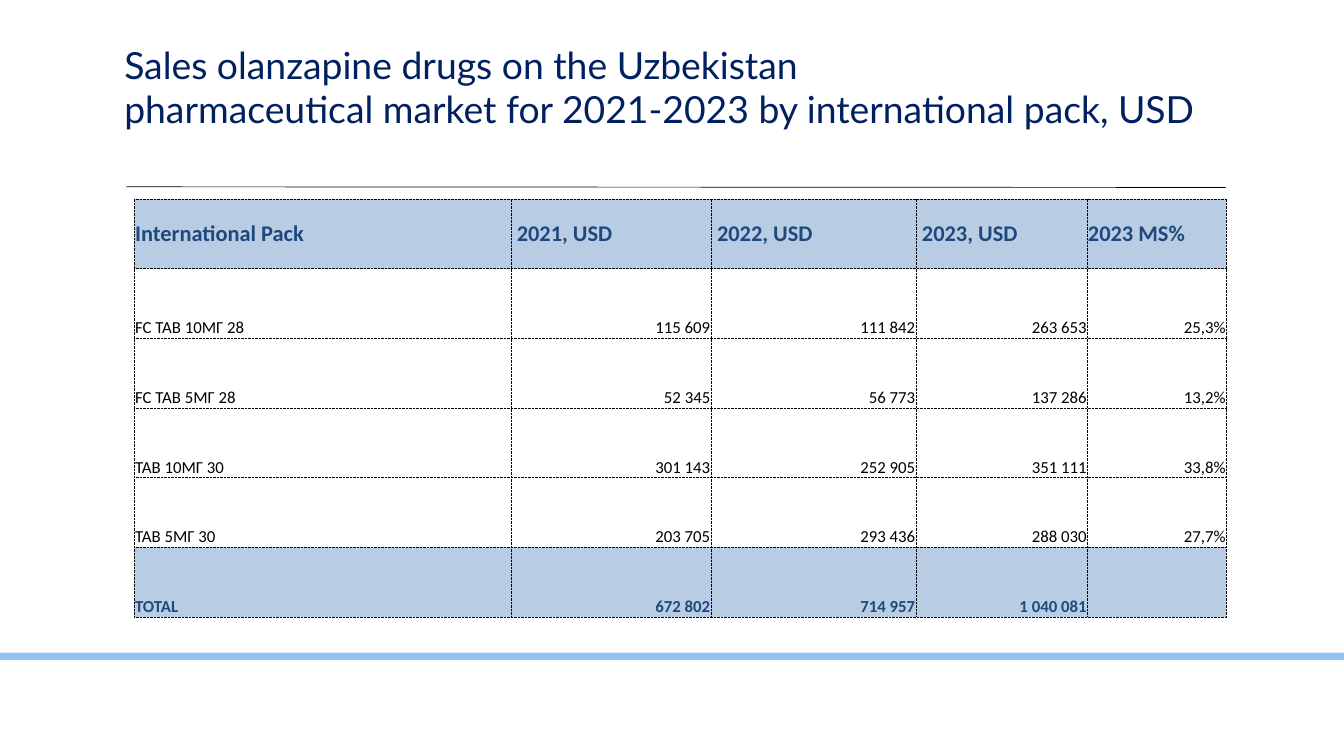
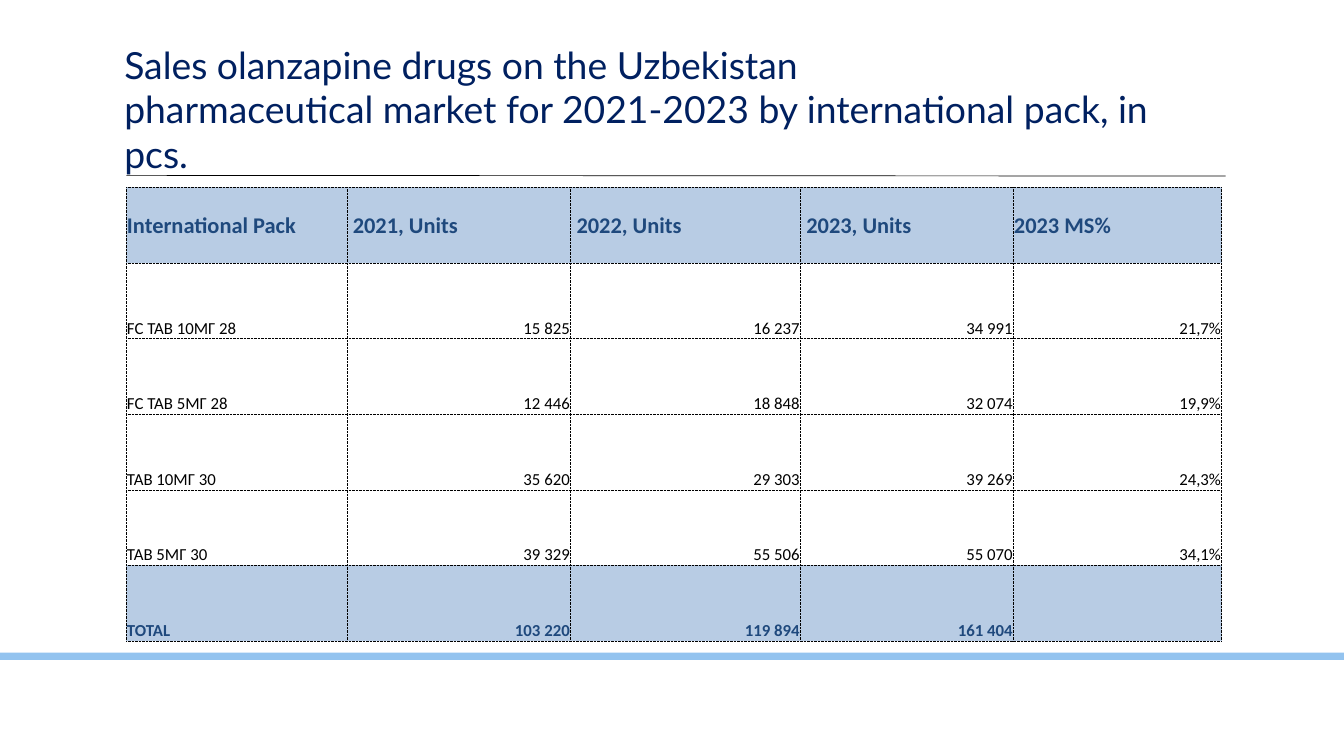
from lxml import etree
from pptx import Presentation
from pptx.dml.color import RGBColor
from pptx.enum.shapes import MSO_CONNECTOR, MSO_SHAPE
from pptx.enum.text import MSO_ANCHOR, MSO_AUTO_SIZE, PP_ALIGN
from pptx.oxml import parse_xml
from pptx.oxml.ns import nsdecls, qn
from pptx.util import Inches, Pt

LINE = MSO_CONNECTOR.STRAIGHT
RECT = MSO_SHAPE.RECTANGLE
MIDDLE, BOTTOM = MSO_ANCHOR.MIDDLE, MSO_ANCHOR.BOTTOM
LEFT, RIGHT = PP_ALIGN.LEFT, PP_ALIGN.RIGHT
GROW = MSO_AUTO_SIZE.SHAPE_TO_FIT_TEXT

NAVY = RGBColor(0x00, 0x20, 0x60)
BLUE = RGBColor(0x1F, 0x49, 0x7D)
PALE = RGBColor(0xB8, 0xCC, 0xE4)
SKY = RGBColor(0x93, 0xC3, 0xEF)
BLACK = RGBColor(0, 0, 0)
HEAD_FONT, BODY_FONT = "Lato", "Calibri"

TITLE = ("Sales olanzapine drugs on the Uzbekistan\v"
         "pharmaceutical market for 2021-2023 by international pack, ")
YEARS = ["2021", "2022", "2023"]

# What differs from slide to slide
PAGES = [
    {"ending": "USD", "unit": "USD", "rule": 2.78,
     "box": (2, 2.96, 16.24, 6.22), "cols": [5.6, 2.98, 3.05, 2.55, 2.07],
     "rows": [
         ["FC TAB 10МГ 28", "115 609", "111 842", "263 653", "25,3%"],
         ["FC TAB 5МГ 28", "52 345", "56 773", "137 286", "13,2%"],
         ["TAB 10МГ 30", "301 143", "252 905", "351 111", "33,8%"],
         ["TAB 5МГ 30", "203 705", "293 436", "288 030", "27,7%"],
         ["TOTAL", "672 802", "714 957", "1 040 081", ""]]},
    {"ending": "in pcs.", "unit": "Units", "rule": 2.61,
     "box": (1.88, 2.79, 16.3, 6.75), "cols": [3.28, 3.33, 3.42, 3.17, 3.1],
     "rows": [
         ["FC TAB 10МГ 28", "15 825", "16 237", "34 991", "21,7%"],
         ["FC TAB 5МГ 28", "12 446", "18 848", "32 074", "19,9%"],
         ["TAB 10МГ 30", "35 620", "29 303", "39 269", "24,3%"],
         ["TAB 5МГ 30", "39 329", "55 506", "55 070", "34,1%"],
         ["TOTAL", "103 220", "119 894", "161 404", ""]]},
]


def add_edges(cell):
    """Give a cell dotted black borders on all four sides."""
    props = cell._tc.get_or_add_tcPr()
    for side in ("lnL", "lnR", "lnT", "lnB"):
        props.append(parse_xml(
            f'<a:{side} {nsdecls("a")} w="{Pt(0.5)}"><a:solidFill>'
            f'<a:srgbClr val="{BLACK}"/></a:solidFill>'
            f'<a:prstDash val="sysDot"/></a:{side}>'))


def style_text(para, font, size, color, bold=False):
    para.font.name = font
    para.font.size = Pt(size)
    para.font.color.rgb = color
    para.font.bold = bold


prs = Presentation()
prs.slide_width, prs.slide_height = Inches(20), Inches(11.25)

for page in PAGES:
    slide = prs.slides.add_slide(prs.slide_layouts[6])
    shapes = slide.shapes

    # Rule under the title
    top = page["rule"]
    rule = shapes.add_connector(LINE, Inches(1.88), Inches(top),
                                Inches(18.24), Inches(top + 0.01))
    rule.line.color.rgb = BLACK
    rule.line.width = Pt(0.75)
    etree.SubElement(rule._element.spPr, qn("a:effectLst"))

    # Title
    title = shapes.add_textbox(Inches(1.85), Inches(0.62),
                               Inches(16.3), Inches(2.02))
    frame = title.text_frame
    frame.word_wrap = True
    frame.auto_size = GROW
    frame.margin_left = frame.margin_right = 0
    frame.margin_top = frame.margin_bottom = 0
    para = frame.paragraphs[0]
    para.text = TITLE + page["ending"]
    style_text(para, HEAD_FONT, 40, NAVY)

    # Footer band
    band = shapes.add_shape(RECT, 0, Inches(9.71), prs.slide_width, Inches(0.11))
    band.shadow.inherit = False
    band.fill.solid()
    band.fill.fore_color.rgb = SKY
    band.line.fill.background()

    # Sales table
    heads = [f"{year}, {page['unit']}" for year in YEARS]
    rows = [["International Pack", *heads, "2023 MS%"], *page["rows"]]
    last = len(rows) - 1
    box = [Inches(n) for n in page["box"]]
    table = shapes.add_table(len(rows), len(page["cols"]), *box).table
    table.first_row = table.horz_banding = False
    for col, width in zip(table.columns, page["cols"]):
        col.width = Inches(width)

    for r, row in enumerate(rows):
        for c, text in enumerate(row):
            cell = table.cell(r, c)
            add_edges(cell)
            if r in (0, last):
                cell.fill.solid()
                cell.fill.fore_color.rgb = PALE
            else:
                cell.fill.background()
            year_head = r == 0 and text in heads
            cell.margin_left = Inches(0.09 if year_head else 0.01)
            cell.margin_right = cell.margin_top = Inches(0.01)
            cell.margin_bottom = 0
            cell.vertical_anchor = BOTTOM if r else MIDDLE
            para = cell.text_frame.paragraphs[0]
            para.text = text
            para.alignment = RIGHT if r and c else LEFT
            strong = r in (0, last)
            style_text(para, BODY_FONT, 18 if r else 24,
                       BLUE if strong else BLACK, strong)

prs.save("out.pptx")
